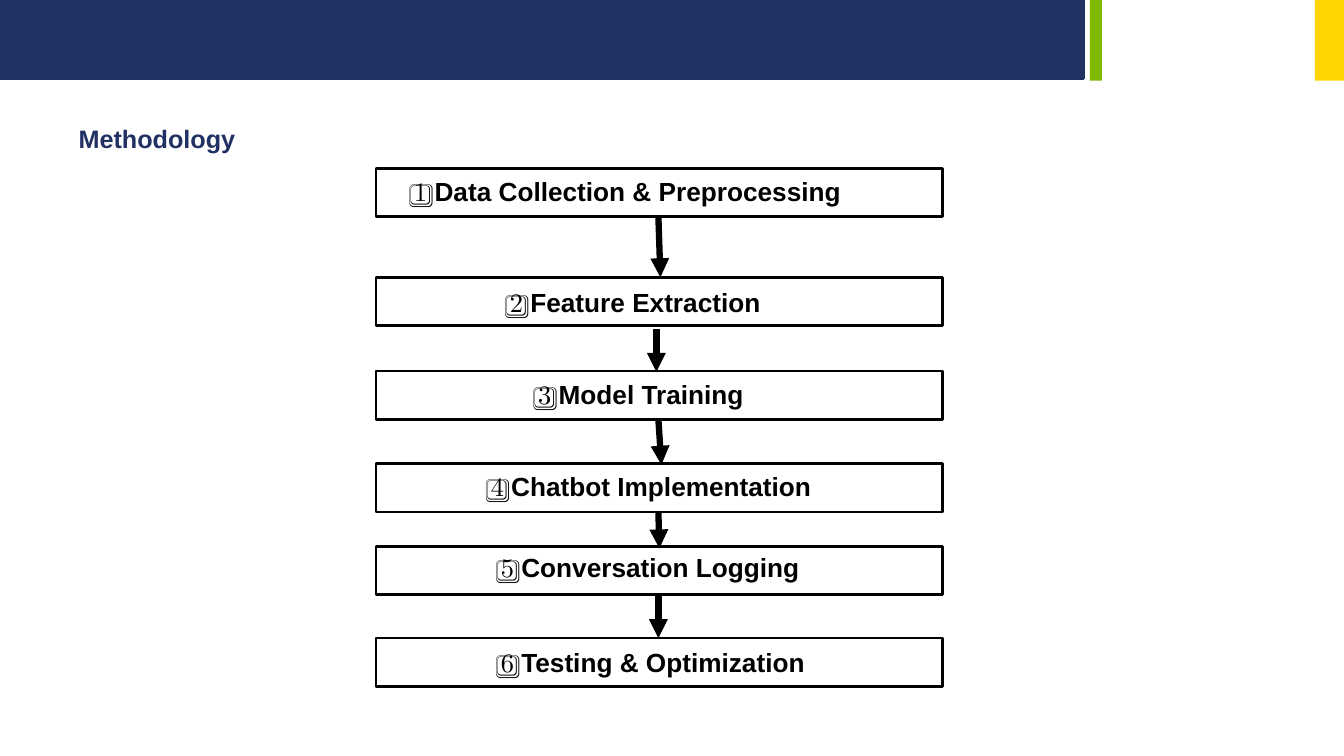
import pptx
import pptx.util
import pptx.dml.color
import pptx.enum.shapes
import pptx.enum.text
import pptx.oxml
import pptx.oxml.ns
from pptx.util import Inches

COLORS = {
    "navy": "213264",
    "title": "213163",
    "green": "7FBA00",
    "yellow": "FED500",
    "black": "000000",
}
FONT = "Arial"
STEP_LEFT, STEP_WIDTH, STEP_HEIGHT = 3.73, 5.62, 0.48

# Box top, label left, label top, label
STEPS = [
    (1.67, 4.01, 1.69, "Data Collection & Preprocessing"),
    (2.75, 4.96, 2.79, "Feature Extraction"),
    (3.68, 5.24, 3.70, "Model Training"),
    (4.60, 4.77, 4.62, "Chatbot Implementation"),
    (5.42, 4.87, 5.42, "Conversation Logging"),
    (6.33, 4.87, 6.36, "Testing & Optimization"),
]
# Start and end of the arrow below each step but the last
ARROWS = [
    (6.53, 2.15, 6.55, 2.75),
    (6.51, 3.26, 6.51, 3.69),
    (6.53, 4.16, 6.56, 4.61),
    (6.53, 5.08, 6.54, 5.44),
    (6.53, 5.90, 6.53, 6.33),
]


def rgb(name):
    return pptx.dml.color.RGBColor.from_string(COLORS[name])


def add_box(slide, left, top, width, height, fill=None, outline=None):
    box = slide.shapes.add_shape(
        pptx.enum.shapes.MSO_SHAPE.RECTANGLE,
        Inches(left), Inches(top), Inches(width), Inches(height))
    box.shadow.inherit = False
    if fill:
        box.fill.solid()
        box.fill.fore_color.rgb = rgb(fill)
    else:
        box.fill.background()
    if outline:
        box.line.color.rgb = rgb(outline)
        box.line.width = pptx.util.Pt(2)
    else:
        box.line.fill.background()


def format_run(run, size, color, bold):
    run.font.name = FONT
    run.font.size = pptx.util.Pt(size)
    run.font.color.rgb = rgb(color)
    run.font.bold = bold


def format_frame(frame):
    frame.word_wrap = True
    frame.auto_size = pptx.enum.text.MSO_AUTO_SIZE.SHAPE_TO_FIT_TEXT
    frame.vertical_anchor = pptx.enum.text.MSO_ANCHOR.TOP
    frame.paragraphs[0].alignment = pptx.enum.text.PP_ALIGN.LEFT


def set_title(slide, text):
    title = slide.shapes.title
    title.left, title.top = Inches(0.68), Inches(1.17)
    title.width, title.height = Inches(6.67), Inches(0.4)
    title.text_frame.text = text
    format_frame(title.text_frame)
    format_run(title.text_frame.paragraphs[0].runs[0], 18, "title", True)


def add_step_label(slide, left, top, number, text):
    label = slide.shapes.add_textbox(
        Inches(left), Inches(top), Inches(6.67), Inches(0.42))
    format_frame(label.text_frame)
    paragraph = label.text_frame.paragraphs[0]
    for part, bold in ((f"{number}️⃣ ", False), (text, True)):
        run = paragraph.add_run()
        run.text = part
        format_run(run, 18.7, "black", bold)


def add_arrow(slide, x1, y1, x2, y2):
    arrow = slide.shapes.add_connector(
        pptx.enum.shapes.MSO_CONNECTOR.STRAIGHT,
        Inches(x1), Inches(y1), Inches(x2), Inches(y2))
    arrow.line.color.rgb = rgb("black")
    arrow.line.width = pptx.util.Pt(4.5)
    namespace = pptx.oxml.ns.nsdecls("a")
    arrow.line._get_or_add_ln().append(
        pptx.oxml.parse_xml(f'<a:tailEnd {namespace} type="triangle"/>'))
    arrow._element.spPr.append(
        pptx.oxml.parse_xml(f"<a:effectLst {namespace}/>"))


def main():
    deck = pptx.Presentation()
    deck.slide_width, deck.slide_height = Inches(13.33), Inches(7.5)
    slide = deck.slides.add_slide(deck.slide_layouts.get_by_name("Title Only"))

    # Header band
    add_box(slide, 0, 0, 10.75, 0.78, "navy", "navy")
    add_box(slide, 10.81, 0, 0.12, 0.8, "green")
    add_box(slide, 13.04, 0, 0.29, 0.8, "yellow")

    set_title(slide, "Methodology")

    # Flow of steps
    for number, (box_top, left, top, text) in enumerate(STEPS, start=1):
        add_box(slide, STEP_LEFT, box_top, STEP_WIDTH, STEP_HEIGHT,
                outline="black")
        add_step_label(slide, left, top, number, text)
    for ends in ARROWS:
        add_arrow(slide, *ends)

    deck.save("out.pptx")


if __name__ == "__main__":
    main()
